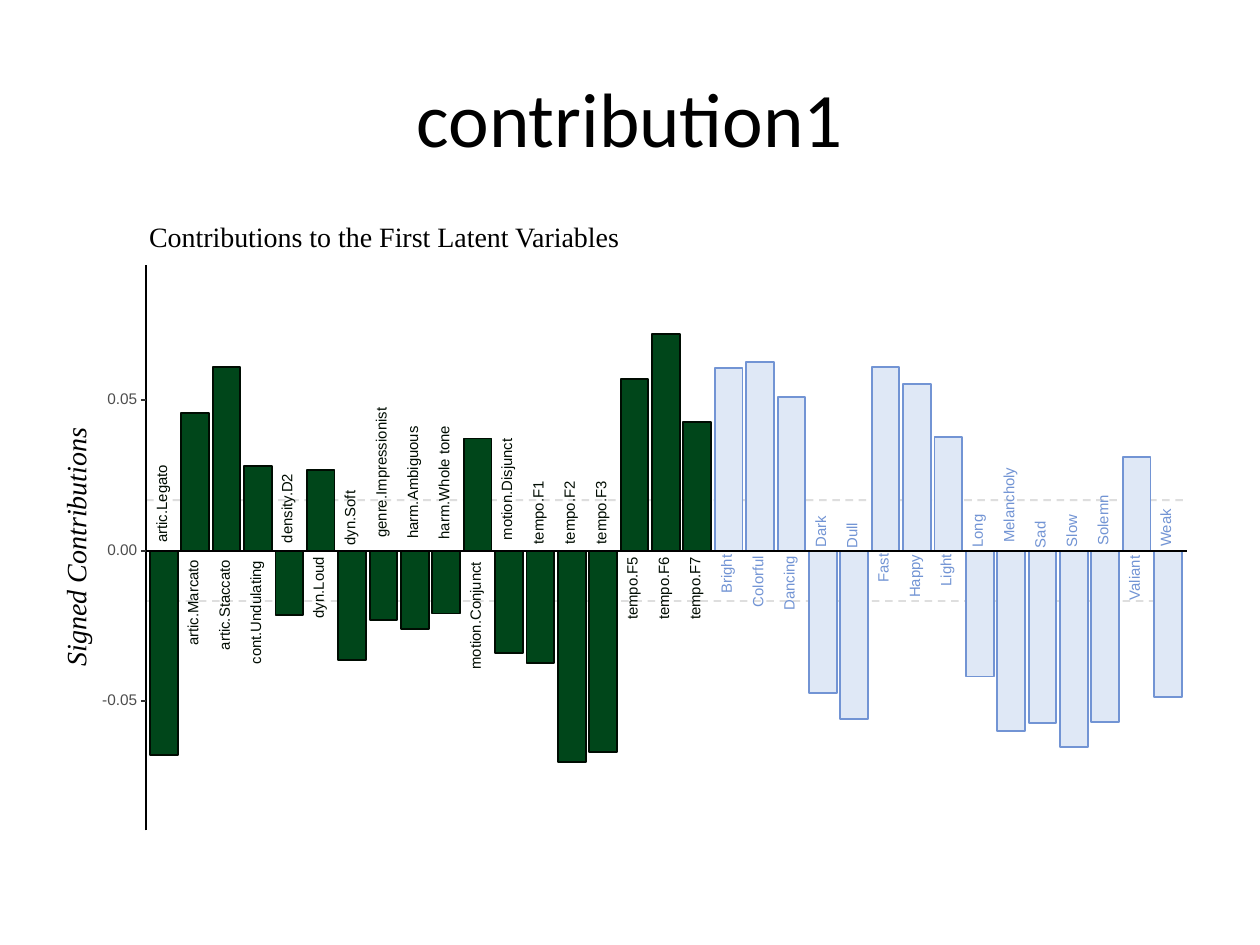
from lxml.etree import SubElement
from pptx import Presentation
from pptx.dml.color import RGBColor
from pptx.enum.dml import MSO_LINE
from pptx.enum.shapes import MSO_CONNECTOR, MSO_SHAPE
from pptx.enum.text import MSO_ANCHOR, PP_ALIGN
from pptx.oxml.ns import qn
from pptx.util import Inches, Pt

BLACK = RGBColor(0x00, 0x00, 0x00)
INK = RGBColor(0x00, 0x0C, 0x02)
GREEN = RGBColor(0x00, 0x46, 0x1A)
BLUE = RGBColor(0x72, 0x94, 0xD4)
PALE_BLUE = RGBColor(0xDF, 0xE8, 0xF6)
SILVER = RGBColor(0xBE, 0xBE, 0xBE)
TICK_GRAY = RGBColor(0x33, 0x33, 0x33)
LABEL_GRAY = RGBColor(0x4D, 0x4D, 0x4D)

# Name, signed bar height and label length, both in inches
MUSIC = [
    ("artic.Legato", -1.62, 0.62), ("artic.Marcato", 1.09, 0.69),
    ("artic.Staccato", 1.46, 0.72), ("cont.Undulating", 0.67, 0.82),
    ("density.D2", -0.51, 0.56), ("dyn.Loud", 0.64, 0.49),
    ("dyn.Soft", -0.87, 0.43), ("genre.Impressionist", -0.55, 1.03),
    ("harm.Ambiguous", -0.62, 0.9), ("harm.Whole tone", -0.5, 0.9),
    ("motion.Conjunct", 0.89, 0.86), ("motion.Disjunct", -0.81, 0.81),
    ("tempo.F1", -0.89, 0.5), ("tempo.F2", -1.68, 0.5),
    ("tempo.F3", -1.6, 0.5), ("tempo.F5", 1.36, 0.5),
    ("tempo.F6", 1.72, 0.5), ("tempo.F7", 1.02, 0.5),
]
MOODS = [
    ("Bright", 1.45, 0.31), ("Colorful", 1.5, 0.41), ("Dancing", 1.22, 0.43),
    ("Dark", -1.13, 0.25), ("Dull", -1.34, 0.2), ("Fast", 1.46, 0.23),
    ("Happy", 1.32, 0.34), ("Light", 0.9, 0.26), ("Long", -1, 0.26),
    ("Melancholy", -1.43, 0.6), ("Sad", -1.37, 0.21), ("Slow", -1.56, 0.26),
    ("Solemn", -1.36, 0.4), ("Valiant", 0.74, 0.36), ("Weak", -1.16, 0.3),
]

PLOT_LEFT, PLOT_RIGHT, ZERO = 1.16, 9.42, 4.37
FIRST_BAR, LAST_BAR, BAR_WIDTH = 1.19, 9.16, 0.22
COLUMN = (LAST_BAR - FIRST_BAR) / (len(MUSIC + MOODS) - 1)
UNIT = 23.9  # inches per unit of contribution
SLACK = 0.1  # spare width that keeps a label on one line

deck = Presentation()
deck.slide_width, deck.slide_height = Inches(10), Inches(7.5)
page = deck.slides.add_slide(deck.slide_layouts[6])


def add_text(text, center_x, center_y, width, height, size, color, font="Arial", turn=0):
    """Add one centered line of text around a point and return its paragraph."""
    width += SLACK
    box = page.shapes.add_textbox(Inches(center_x - width / 2), Inches(center_y - height / 2),
                                  Inches(width), Inches(height))
    box.rotation = turn
    frame = box.text_frame
    frame.margin_left = frame.margin_right = frame.margin_top = frame.margin_bottom = 0
    frame.word_wrap = False
    frame.vertical_anchor = MSO_ANCHOR.MIDDLE
    para = frame.paragraphs[0]
    para.text = text
    para.alignment = PP_ALIGN.CENTER
    para.line_spacing = Pt(size)
    para.font.size, para.font.name = Pt(size), font
    para.font.color.rgb = color
    return para


def add_line(x1, y1, x2, y2, color):
    """Add a straight line without shadow and return it."""
    line = page.shapes.add_connector(MSO_CONNECTOR.STRAIGHT, Inches(x1), Inches(y1),
                                     Inches(x2), Inches(y2))
    line.line.color.rgb = color
    line.line.width = Pt(1.07)
    SubElement(line.element.spPr, qn("a:effectLst"))
    return line


title = add_text("contribution1", 5, 0.925, 8.9, 1.25, 44, BLACK, "Calibri")
title.line_spacing = 1.0

# Dashed thresholds lie behind the bars
for y in (ZERO - 0.4, ZERO + 0.4):
    threshold = add_line(PLOT_LEFT, y, PLOT_RIGHT, y, SILVER)
    threshold.line.dash_style = MSO_LINE.DASH
    color = threshold.element.spPr.find(".//" + qn("a:srgbClr"))
    SubElement(color, qn("a:alpha")).set("val", "50000")

# Each name stands across the zero line from its bar
for index, (name, height, length) in enumerate(MUSIC + MOODS):
    fill, ink = (GREEN, INK) if index < len(MUSIC) else (PALE_BLUE, BLUE)
    left = FIRST_BAR + index * COLUMN
    bar = page.shapes.add_shape(MSO_SHAPE.RECTANGLE, Inches(left),
                                Inches(ZERO - max(height, 0)),
                                Inches(BAR_WIDTH), Inches(abs(height)))
    bar.shadow.inherit = False
    bar.fill.solid()
    bar.fill.fore_color.rgb = fill
    bar.line.color.rgb = ink
    bar.line.width = Pt(1.07)
    side = 1 if height > 0 else -1
    add_text(name, left + BAR_WIDTH / 2 - 0.01, ZERO + side * 0.6 * length,
             length, 0.11, 8.5, ink, turn=270)

add_line(PLOT_LEFT, ZERO, PLOT_RIGHT, ZERO, BLACK)
add_line(PLOT_LEFT, 6.59, PLOT_LEFT, 2.1, BLACK)
for tick in (-0.05, 0, 0.05):
    y = ZERO - tick * UNIT
    width = 0.28 if tick < 0 else 0.24
    add_text(f"{tick:.2f}", 1.09 - width / 2, y, width, 0.09, 8.8, LABEL_GRAY)
    add_line(PLOT_LEFT - 0.04, y, PLOT_LEFT, y, TICK_GRAY)

axis_title = add_text("Signed Contributions", 0.62, 4.34, 1.9, 0.2, 16, BLACK,
                      "Times New Roman", 270)
axis_title.font.italic = True
add_text("Contributions to the First Latent Variables", 3.05, 1.9, 3.77, 0.16, 16, BLACK,
         "Times New Roman")

deck.save("out.pptx")
